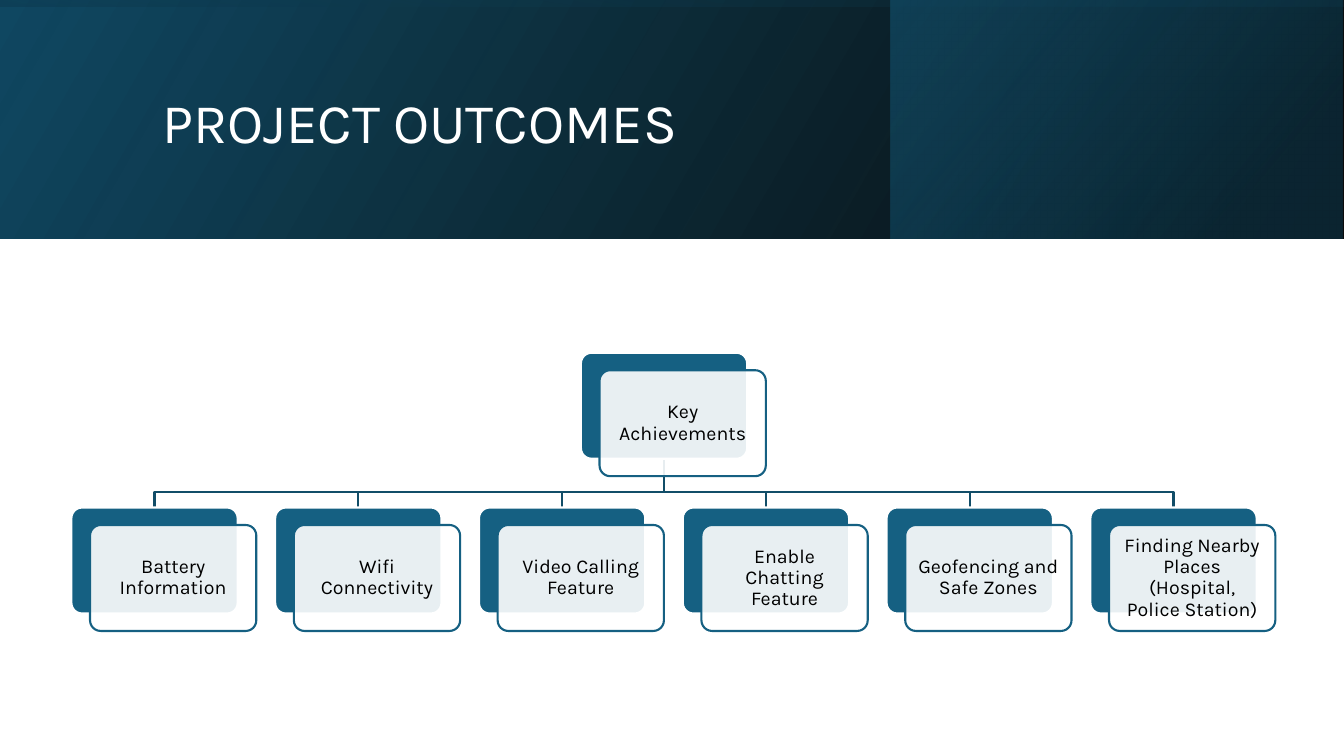
from pptx import Presentation
from pptx.dml.color import RGBColor
from pptx.enum.shapes import MSO_SHAPE as Preset
from pptx.enum.text import MSO_ANCHOR as Anchor, MSO_AUTO_SIZE as AutoSize, PP_ALIGN as Align
from pptx.oxml import parse_xml
from pptx.oxml.ns import nsdecls, qn
from pptx.util import Cm, Pt

SLIDE_WIDTH, SLIDE_HEIGHT = 33.87, 19.05
BANNER_HEIGHT = 6.02
TEAL, DARK_TEAL, WHITE, BLACK = "156082", "114D68", "FFFFFF", "000000"
NAVY = "104862"
LINE_WIDTH = Pt(1.5)
CARD_WIDTH, CARD_HEIGHT = 4.19, 2.67
CARD_OFFSET_X, CARD_OFFSET_Y = 0.47, 0.44
BUS_GAP = 0.39  # from the horizontal branch line down to the lower cards

TITLE_FORMAT = {
    "frame": {"vertical_anchor": Anchor.MIDDLE, "word_wrap": True, "auto_size": AutoSize.NONE},
    "paragraph": {"alignment": Align.LEFT, "line_spacing": 0.9, "space_after": Pt(6)},
    "font": {"name": "Karla", "size": Pt(40)},
}
CARD_FORMAT = {
    "frame": {"vertical_anchor": Anchor.MIDDLE, "word_wrap": True,
              **{f"margin_{side}": Cm(0.24) for side in ("left", "right", "top", "bottom")}},
    "paragraph": {"alignment": Align.CENTER, "line_spacing": 0.9, "space_after": Pt(4.9)},
    "font": {"name": "Karla", "size": Pt(14)},
}
ROOT_LABEL = "Key Achievements"
OUTCOMES = [
    "Battery Information",
    "Wifi Connectivity",
    "Video Calling Feature",
    "Enable Chatting Feature",
    "Geofencing and Safe Zones",
    "Finding Nearby Places (Hospital, Police Station)",
]


def paint(color_format, hex_color):
    color_format.rgb = RGBColor.from_string(hex_color)


def set_attributes(target, values):
    for name, value in values.items():
        setattr(target, name, value)


def set_opacities(shape, *percents):
    """Give the shape's fill colours, in order, these opacities."""
    for color, percent in zip(shape.element.spPr.iter(qn("a:srgbClr")), percents):
        color.append(parse_xml(f'<a:alpha {nsdecls("a")} val="{percent * 1000}"/>'))


def write_text(shape, text, text_format, hex_color):
    frame = shape.text_frame
    frame.text = text
    paragraph = frame.paragraphs[0]
    font = paragraph.runs[0].font
    set_attributes(frame, text_format["frame"])
    set_attributes(paragraph, text_format["paragraph"])
    set_attributes(font, text_format["font"])
    paint(font.color, hex_color)


def add_gradient_band(shapes, box, stops, angle, rotation=0):
    """Add a mirrored rectangle; stops are (position, colour, opacity), angle is clockwise."""
    band = shapes.add_shape(Preset.RECTANGLE, *map(Cm, box))
    band.shadow.inherit = False
    band.line.fill.background()
    band.rotation = rotation
    band.element.spPr.xfrm.set("flipH", "1")
    band.fill.gradient()
    band.fill.gradient_angle = 360 - angle
    for gradient_stop, (position, hex_color, _) in zip(band.fill.gradient_stops, stops):
        gradient_stop.position = position
        paint(gradient_stop.color, hex_color)
    set_opacities(band, *(opacity for _, _, opacity in stops))


def add_banner(slide, left, top, width, height):
    panel_width = 11.38
    add_gradient_band(slide.shapes, (left, top, width, height),
                      [(0, BLACK, 96), (1, NAVY, 100)], 330)
    add_gradient_band(slide.shapes, (left + 22.45, top, panel_width, height),
                      [(0.19, "0B3041", 68), (1, TEAL, 48)], 320)
    shift = (width - height) / 2
    add_gradient_band(slide.shapes, (left + shift, top - shift, height, width),
                      [(0.23, NAVY, 16), (0.99, BLACK, 45)], 350, rotation=270)

    title = slide.shapes.title
    set_attributes(title, {"left": Cm(left + 3.84), "top": Cm(top + 0.97),
                           "width": Cm(27), "height": Cm(4.37)})
    write_text(title, "PROJECT OUTCOMES", TITLE_FORMAT, WHITE)
    title.element.getparent().append(title.element)  # bring in front of the bands


def add_card(shapes, left, top, label):
    """Add a solid card with a translucent labelled card shifted over it."""
    layers = [(0, 0, TEAL, WHITE), (CARD_OFFSET_X, CARD_OFFSET_Y, WHITE, TEAL)]
    for shift_x, shift_y, fill_color, line_color in layers:
        card = shapes.add_shape(Preset.ROUNDED_RECTANGLE, Cm(left + shift_x), Cm(top + shift_y),
                                Cm(CARD_WIDTH), Cm(CARD_HEIGHT))
        card.adjustments[0] = 0.1
        card.shadow.inherit = False
        card.fill.solid()
        paint(card.fill.fore_color, fill_color)
        paint(card.line.color, line_color)
        card.line.width = LINE_WIDTH
    set_opacities(card, 90)
    write_text(card, label, CARD_FORMAT, BLACK)


def add_branch(shapes, start_x, start_y, end_x, end_y):
    bus_y = end_y - BUS_GAP
    points = [(start_x, bus_y), (end_x, bus_y), (end_x, end_y)]
    builder = shapes.build_freeform(Cm(start_x), Cm(start_y))
    builder.add_line_segments([(Cm(x), Cm(y)) for x, y in points], close=False)
    branch = builder.convert_to_shape()
    branch.shadow.inherit = False
    branch.fill.background()
    paint(branch.line.color, DARK_TEAL)
    branch.line.width = LINE_WIDTH


def add_hierarchy(slide, left, top, width, height):
    """Add the root card centred above an evenly spaced row of outcome cards."""
    shapes = slide.shapes.add_group_shape().shapes
    pair_width, pair_height = CARD_WIDTH + CARD_OFFSET_X, CARD_HEIGHT + CARD_OFFSET_Y
    pitch = (width - pair_width) / (len(OUTCOMES) - 1)
    root_left = left + (width - pair_width) / 2
    row_top = top + height - pair_height
    half_card = CARD_WIDTH / 2
    card_lefts = [left + index * pitch for index in range(len(OUTCOMES))]

    for card_left in reversed(card_lefts):
        add_branch(shapes, root_left + half_card, top + CARD_HEIGHT,
                   card_left + half_card, row_top)
    add_card(shapes, root_left, top, ROOT_LABEL)
    for card_left, label in zip(card_lefts, OUTCOMES):
        add_card(shapes, card_left, row_top, label)


def main():
    presentation = Presentation()
    presentation.slide_width, presentation.slide_height = Cm(SLIDE_WIDTH), Cm(SLIDE_HEIGHT)
    slide = presentation.slides.add_slide(presentation.slide_layouts.get_by_name("Title Only"))
    add_banner(slide, 0, 0, SLIDE_WIDTH, BANNER_HEIGHT)
    add_hierarchy(slide, 1.8, 8.89, 30.34, 7.01)
    presentation.save("out.pptx")


if __name__ == "__main__":
    main()
